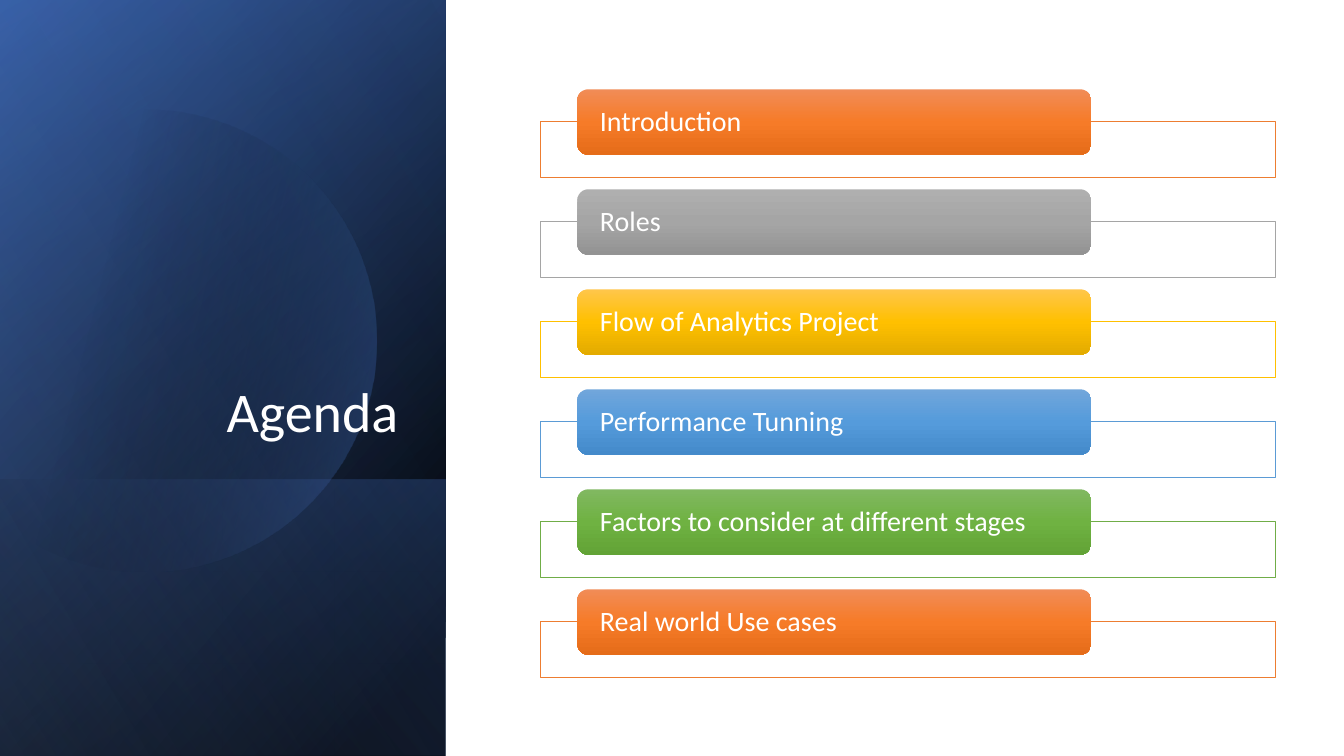
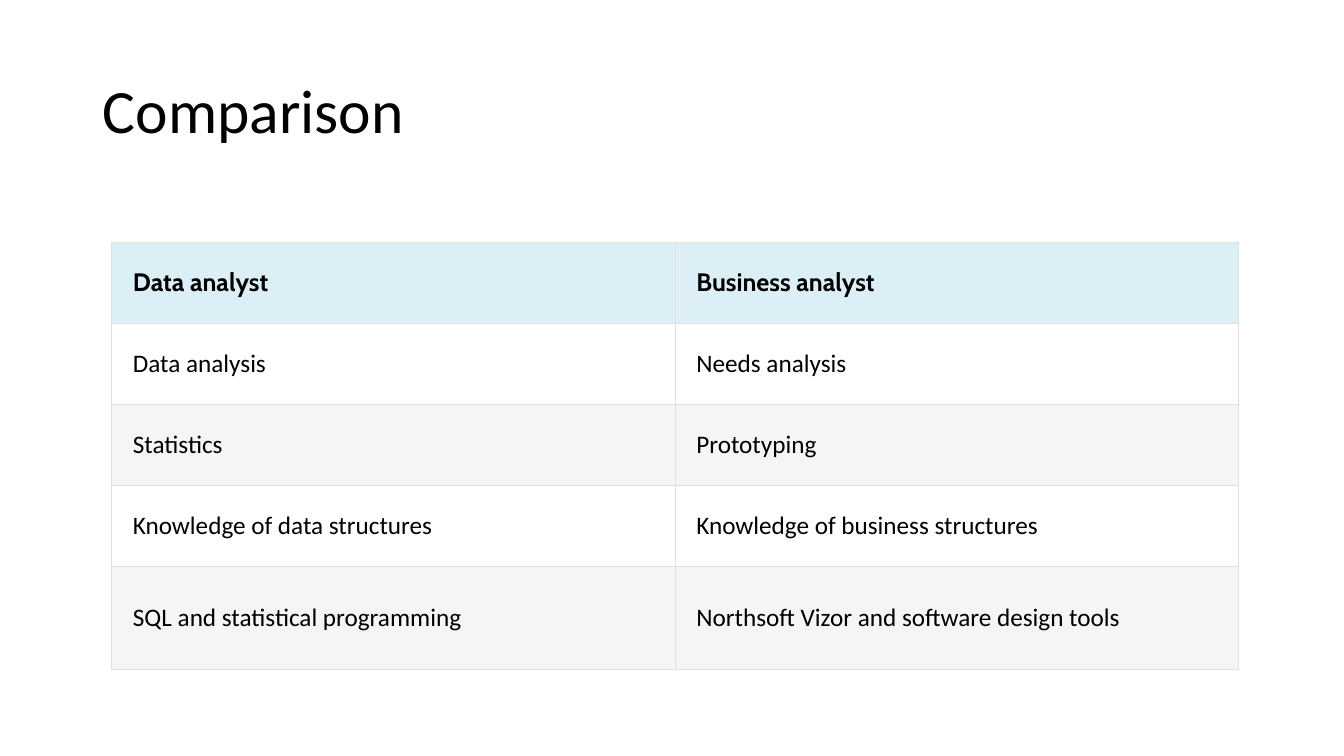
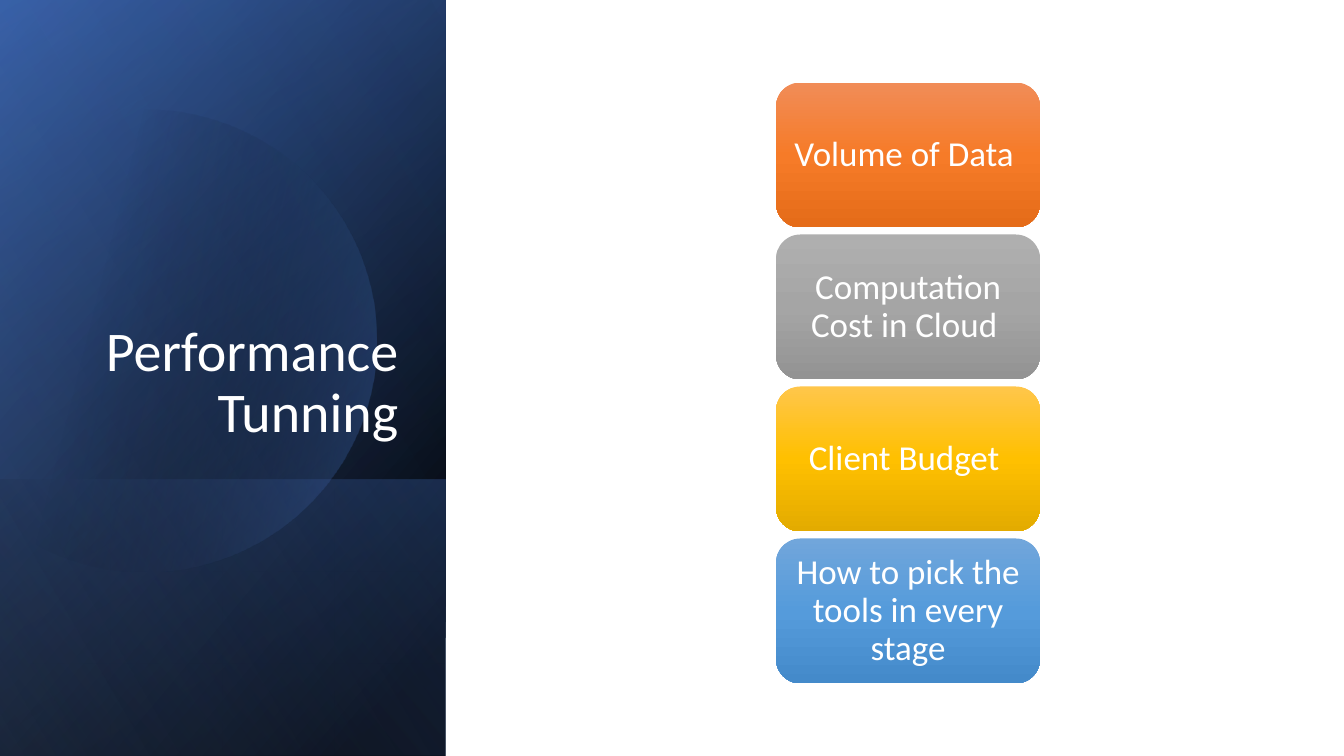
import math
from dataclasses import dataclass

import lxml.etree
import pptx
import pptx.dml.color
import pptx.enum.shapes
import pptx.enum.text
import pptx.oxml.ns
import pptx.util

Cm, Pt = pptx.util.Cm, pptx.util.Pt
SHAPE = pptx.enum.shapes.MSO_SHAPE
ANCHOR = pptx.enum.text.MSO_ANCHOR
ALIGN = pptx.enum.text.PP_ALIGN
qn = pptx.oxml.ns.qn

# Content
AGENDA = [
    "Introduction",
    "Roles",
    "Flow of Analytics Project",
    "Performance Tunning",
    "Factors to consider at different stages",
    "Real world Use cases",
]
COMPARISON = [
    ("Data analyst", "Business analyst"),
    ("Data analysis", "Needs analysis"),
    ("Statistics", "Prototyping"),
    ("Knowledge of data structures", "Knowledge of business structures"),
    ("SQL and statistical programming",
     "Northsoft Vizor and software design tools"),
]
TUNING = [
    "Volume of Data ",
    "Computation Cost in Cloud ",
    "Client Budget ",
    "How to pick the tools in every stage",
]


@dataclass(frozen=True)
class Theme:
    font: str = "Calibri"
    header_font: str = "Cabin"
    white: str = "FFFFFF"
    black: str = "000000"
    navy: str = "2F5597"
    blue: str = "4472C4"
    pale_blue: str = "8FAADC"
    header_fill: str = "DCEEF6"
    band_fill: str = "F5F5F5"
    border: str = "E0E0E0"
    # outline colour, then top, middle and bottom of the gradient
    accents: tuple = (
        ("ED7D31", "F18C57", "F67B28", "E56C19"),
        ("A5A5A5", "AFAFAF", "A5A5A5", "939393"),
        ("FFC000", "FFC64B", "FFC000", "E3AB00"),
        ("5B9BD5", "71A6DB", "559BDB", "448ACA"),
        ("70AD47", "81B861", "6FB242", "62A336"),
    )
    title_size: int = 44
    side_title_size: int = 40
    agenda_size: int = 20
    tile_size: int = 25
    table_size: int = 18


T = Theme()
SLIDE_W, SLIDE_H = 33.87, 19.05
PANEL_W = 11.23

# Panel layers: top, height, gradient stops (position, colour, opacity), angle
PANEL_BASE = [
    (0, SLIDE_H, [(8, T.black, 100), (100, T.navy, 100)], 50),
    (0, SLIDE_H, [(0, T.black, 0), (99, T.blue, 46)], 30),
    (12.09, 6.96, [(2, T.blue, 29), (100, T.black, 30)], 130),
]
PANEL_GLAZE = (0, SLIDE_H, [(0, T.black, 0), (99, T.pale_blue, 11)], 120)
DISC_X, DISC_Y, DISC_R = 3.66, 8.58, 5.82
DISC_STOPS = [(29, T.black, 0), (100, T.blue, 43)]


def rgb(value):
    return pptx.dml.color.RGBColor.from_string(value)


def box(left, top, width, height):
    return Cm(left), Cm(top), Cm(width), Cm(height)


def sub(parent, tag, **attrs):
    el = lxml.etree.SubElement(parent, qn(tag))
    for name, value in attrs.items():
        el.set(name, str(value))
    return el


def set_gradient(sp, stops, angle):
    """Fill a shape with a linear gradient whose stops may be transparent."""
    sp.shadow.inherit = False
    sp.line.fill.background()
    sp.fill.background()
    no_fill = sp.element.spPr.find(qn("a:noFill"))
    grad = lxml.etree.Element(qn("a:gradFill"), rotWithShape="1")
    stop_list = sub(grad, "a:gsLst")
    for pos, color, opacity in stops:
        stop = sub(stop_list, "a:gs", pos=pos * 1000)
        clr = sub(stop, "a:srgbClr", val=color)
        if opacity < 100:
            sub(clr, "a:alpha", val=opacity * 1000)
    sub(grad, "a:lin", ang=angle * 60000, scaled=0)
    no_fill.getparent().replace(no_fill, grad)


def style_text(tf, size, color, align=ALIGN.LEFT, anchor=ANCHOR.MIDDLE,
               spacing=0.9, font=T.font, bold=False):
    tf.word_wrap = True
    tf.vertical_anchor = anchor
    for p in tf.paragraphs:
        p.alignment = align
        p.line_spacing = spacing
        p.font.name = font
        p.font.size = Pt(size)
        p.font.bold = bold
        p.font.color.rgb = rgb(color)


def set_insets(tf, side, end):
    tf.margin_left = tf.margin_right = Cm(side)
    tf.margin_top = tf.margin_bottom = Cm(end)


# Shared slide parts
def add_title(slide, text, place, size, color, align, anchor):
    title = slide.shapes.title
    title.left, title.top, title.width, title.height = box(*place)
    title.text_frame.text = text
    title.text_frame.auto_size = pptx.enum.text.MSO_AUTO_SIZE.NONE
    style_text(title.text_frame, size, color, align, anchor)
    slide.shapes.element.append(title.element)  # bring to the front


def add_panel_layer(slide, top, height, stops, angle):
    # The frame is a quarter turn of the area it covers
    left = (PANEL_W - height) / 2
    frame_top = top + (height - PANEL_W) / 2
    sp = slide.shapes.add_shape(SHAPE.RECTANGLE,
                                *box(left, frame_top, height, PANEL_W))
    sp.rotation = 90
    sp.element.spPr.find(qn("a:xfrm")).set("flipH", "1")
    set_gradient(sp, stops, angle)


def add_disc(slide):
    # A circle cut off at the left edge of the slide
    cut = math.acos(-DISC_X / DISC_R)
    steps = 90
    angles = [cut * (2 * i / steps - 1) for i in range(steps + 1)]
    points = [(Cm(DISC_X + DISC_R * math.cos(a)),
               Cm(DISC_Y + DISC_R * math.sin(a))) for a in angles]
    builder = slide.shapes.build_freeform(*points[0])
    builder.add_line_segments(points[1:], close=True)
    set_gradient(builder.convert_to_shape(), DISC_STOPS, 14)


def new_slide(prs):
    return prs.slides.add_slide(prs.slide_layouts[5])


def panel_slide(prs, title):
    slide = new_slide(prs)
    for layer in PANEL_BASE:
        add_panel_layer(slide, *layer)
    add_disc(slide)
    add_panel_layer(slide, *PANEL_GLAZE)
    add_title(slide, title, (1.63, 4.67, 8.66, 6.65), T.side_title_size,
              T.white, ALIGN.RIGHT, ANCHOR.BOTTOM)
    return slide


def add_tile(slide, text, place, shades, size, align, insets):
    sp = slide.shapes.add_shape(SHAPE.ROUNDED_RECTANGLE, *box(*place))
    set_gradient(sp, [(pos, c, 100) for pos, c in zip((0, 50, 100), shades)], 90)
    sp.text_frame.text = text
    set_insets(sp.text_frame, *insets)
    style_text(sp.text_frame, size, T.white, align)


# Slides
def agenda_slide(prs):
    slide = panel_slide(prs, "Agenda")
    pitch = 2.52
    for i, text in enumerate(AGENDA):
        outline, *shades = T.accents[i % len(T.accents)]
        frame = slide.shapes.add_shape(
            SHAPE.RECTANGLE, *box(13.61, 3.07 + i * pitch, 18.52, 1.4))
        frame.shadow.inherit = False
        frame.fill.solid()
        frame.fill.fore_color.rgb = rgb(T.white)
        frame.line.color.rgb = rgb(outline)
        frame.line.width = Pt(0.5)
        add_tile(slide, text, (14.55, 2.25 + i * pitch, 12.95, 1.65), shades,
                 T.agenda_size, ALIGN.LEFT, (0.49, 0))


def style_cell(cell, text, fill, header):
    cell.text = text
    set_insets(cell, 0.53, 0.13)
    cell.vertical_anchor = ANCHOR.MIDDLE
    style_text(cell.text_frame, T.table_size, T.black, anchor=None, spacing=1.0,
               font=T.header_font if header else T.font, bold=header)
    props = cell._tc.get_or_add_tcPr()
    for side in ("a:lnL", "a:lnR", "a:lnT", "a:lnB"):
        line = sub(props, side, w=Pt(0.75))
        sub(sub(line, "a:solidFill"), "a:srgbClr", val=T.border)
    cell.fill.solid()
    cell.fill.fore_color.rgb = rgb(fill)


def comparison_slide(prs):
    slide = new_slide(prs)
    add_title(slide, "Comparison", (2.34, 1.02, 29.21, 3.68), T.title_size,
              T.black, ALIGN.LEFT, ANCHOR.MIDDLE)
    heights = [2.04] * 4 + [2.6]
    table = slide.shapes.add_table(
        len(COMPARISON), 2, *box(2.82, 6.11, 28.4, sum(heights))).table
    for col in table.columns:
        col.width = Cm(14.2)
    for r, (row, height) in enumerate(zip(COMPARISON, heights)):
        table.rows[r].height = Cm(height)
        fill = T.header_fill if r == 0 else (T.band_fill, T.white)[r % 2]
        for c, text in enumerate(row):
            style_cell(table.cell(r, c), text, fill, r == 0)


def tuning_slide(prs):
    slide = panel_slide(prs, "Performance Tunning")
    for i, text in enumerate(TUNING):
        add_tile(slide, text, (19.56, 2.08 + i * 3.83, 6.65, 3.65),
                 T.accents[i][1:], T.tile_size, ALIGN.CENTER, (0.25, 0.13))


def main():
    prs = pptx.Presentation()
    prs.slide_width, prs.slide_height = Cm(SLIDE_W), Cm(SLIDE_H)
    agenda_slide(prs)
    comparison_slide(prs)
    tuning_slide(prs)
    prs.save("out.pptx")


if __name__ == "__main__":
    main()
